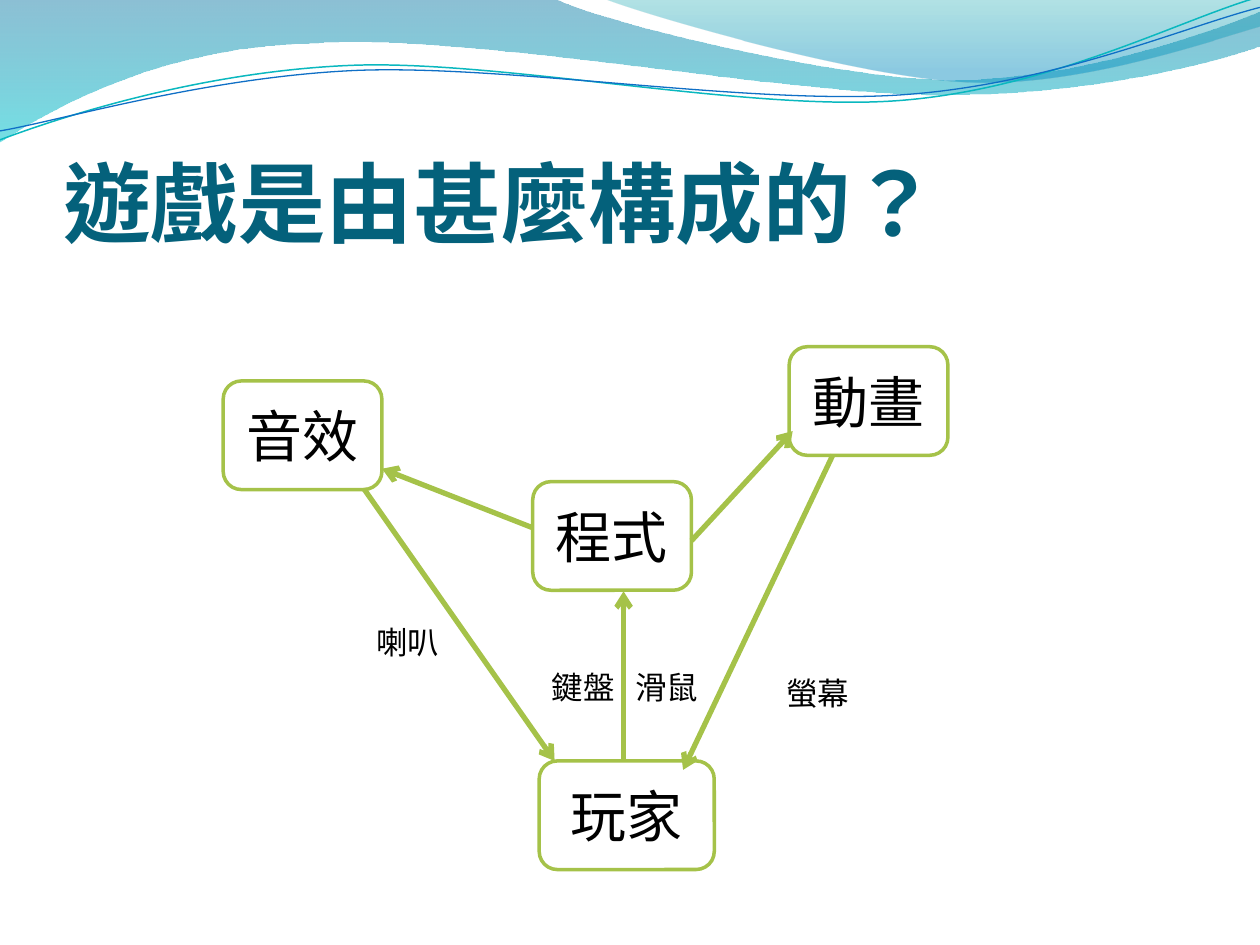
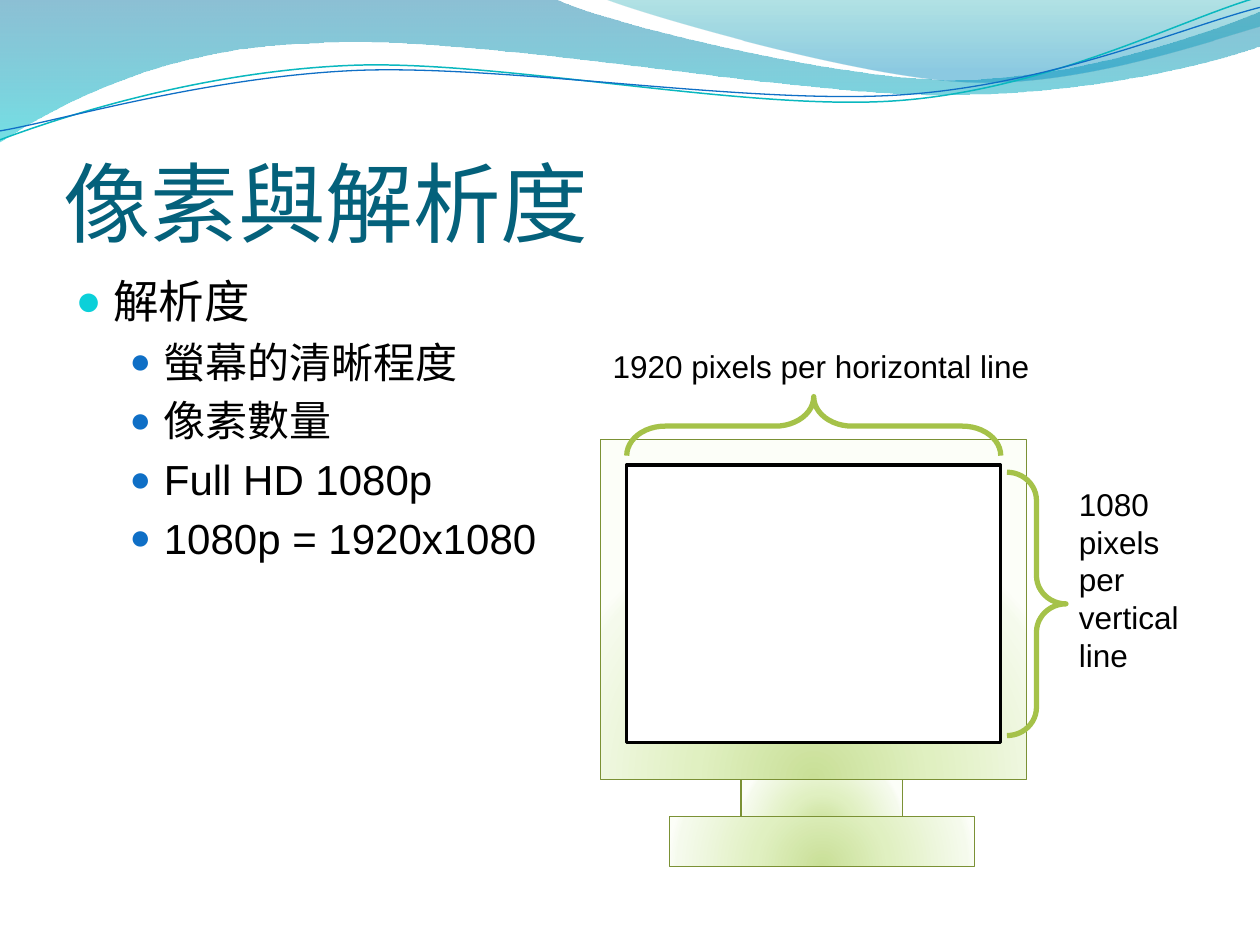
from lxml import etree
from pptx import Presentation
from pptx.dml.color import RGBColor
from pptx.enum.lang import MSO_LANGUAGE_ID
from pptx.enum.shapes import MSO_CONNECTOR, MSO_SHAPE
from pptx.enum.text import MSO_ANCHOR, MSO_AUTO_SIZE, PP_ALIGN
from pptx.oxml.ns import qn
from pptx.util import Cm, Pt

ROUNDED, RECTANGLE, BRACE = MSO_SHAPE.ROUNDED_RECTANGLE, MSO_SHAPE.RECTANGLE, MSO_SHAPE.RIGHT_BRACE
STRAIGHT = MSO_CONNECTOR.STRAIGHT
LEFT, CENTER = PP_ALIGN.LEFT, PP_ALIGN.CENTER
BOTTOM, MIDDLE = MSO_ANCHOR.BOTTOM, MSO_ANCHOR.MIDDLE
NO_AUTOFIT = MSO_AUTO_SIZE.NONE
TRADITIONAL_CHINESE = MSO_LANGUAGE_ID.TRADITIONAL_CHINESE

COLORS = {
    "title": "04617B", "text": "000000", "paper": "FFFFFF",
    "green": "A5C249", "casing": "7B9135",
    "cyan": "0BD0D9", "blue": "0F6FC6", "teal": "0AB8BF",
}
RGB = {name: RGBColor.from_string(value) for name, value in COLORS.items()}
CJK_FONT = "Noto Sans CJK SC"


def fill_gradient(shape, stops, direction, **settings):
    gradient = etree.Element(qn("a:gradFill"), rotWithShape="1")
    stop_list = etree.SubElement(gradient, qn("a:gsLst"))
    for position, color, opacity in stops:
        stop = etree.SubElement(stop_list, qn("a:gs"), pos=str(position * 1000))
        tint = etree.SubElement(stop, qn("a:srgbClr"), val=color)
        if opacity < 100:
            etree.SubElement(tint, qn("a:alpha"), val=str(opacity * 1000))
    course = etree.SubElement(gradient, qn(direction), **settings)
    if direction == "a:path":
        etree.SubElement(course, qn("a:fillToRect"), l="50000", t="130000", r="50000", b="-30000")
    shape.element.spPr.insert(2, gradient)


def add_label(slide, wording, left, top, width=1.9, height=1.02):
    label = slide.shapes.add_textbox(Cm(left), Cm(top), Cm(width), Cm(height))
    label.text_frame.word_wrap = True
    paragraph = label.text_frame.paragraphs[0]
    paragraph.text = wording
    paragraph.font.size = Pt(18)
    paragraph.font.name = "Arial"
    paragraph.font.color.rgb = RGB["text"]
    return paragraph


prs = Presentation()
prs.slide_width, prs.slide_height = Cm(25.4), Cm(19.05)
game_slide = prs.slides.add_slide(prs.slide_layouts[5])
pixel_slide = prs.slides.add_slide(prs.slide_layouts[1])

WAVES = [
    ((0, 0), [
        (11.18, -0.03),
        (12.09, 0.43, 16.87, 1.6, 19.25, 1.6),
        (21.67, 1.6, 24.33, 0.66, 25.4, 0.23),
        (25.43, 0.91),
        (24.97, 1.12, 22.1, 1.93, 18.95, 1.91),
        (15.8, 1.91, 9.7, 0.71, 6.53, 0.86),
        (3.28, 0.91, 1.17, 2.11, -0.03, 2.87),
    ], [(0, "0074A1", 45), (100, "00C6CF", 55)], None, 0),
    ((12.17, -0.03), [
        (12.93, 0.28, 17.32, 1.57, 19.53, 1.65),
        (21.74, 1.75, 24.41, 0.81, 25.4, 0.53),
        (25.4, 0),
    ], [(0, "00A1A9", 30), (80, "008BBF", 45)], None, 0),
    ((0, 2.82), [
        (1.22, 2.36, 4.01, 1.45, 7.04, 1.32),
        (10.03, 1.19, 15.06, 2.26, 18.11, 2.03),
        (21.16, 1.8, 23.83, 0.38, 25.35, -0.05),
    ], None, "teal", 0.85),
    ((0, 2.64), [
        (1.19, 2.44, 4.17, 1.55, 7.19, 1.42),
        (10.24, 1.3, 15.16, 2.13, 18.21, 1.91),
        (21.23, 1.7, 23.9, 0.53, 25.4, 0.15),
    ], None, "blue", 0.75),
]
master_tree = prs.slide_master.shapes.element
for order, (start, segments, stops, color, weight) in enumerate(WAVES):
    handles = [
        (Cm(x), Cm(y)) for segment in segments for x, y in zip(segment[::2], segment[1::2])
    ]
    builder = game_slide.shapes.build_freeform(Cm(start[0]), Cm(start[1]))
    builder.add_line_segments(handles, close=stops is not None)
    wave = builder.convert_to_shape()
    steps = iter(wave.element.xpath(".//a:lnTo"))
    for segment in segments:
        first = next(steps)
        if len(segment) == 6:
            curve = etree.Element(qn("a:cubicBezTo"))
            first.addprevious(curve)
            for step in (first, next(steps), next(steps)):
                curve.append(step[0])
                step.getparent().remove(step)
    wave.shadow.inherit = False
    if stops:
        fill_gradient(wave, stops, "a:lin", ang="5400000", scaled="0")
        wave.line.fill.background()
    else:
        wave.fill.background()
        wave.line.color.rgb = RGB[color]
        wave.line.width = Pt(weight)
    wave.element.xpath(".//p:cNvPr")[0].set("id", str(20 + order))
    master_tree.insert(2 + order, wave.element)

for slide, heading, font_name, bold in [
    (game_slide, "遊戲是由甚麼構成的？", "Calibri", True),
    (pixel_slide, "像素與解析度", CJK_FONT, False),
]:
    title = slide.shapes.title
    title.left, title.top, title.width, title.height = Cm(1.27), Cm(1.94), Cm(22.86), Cm(3.18)
    frame = title.text_frame
    frame.text = heading
    frame.auto_size = NO_AUTOFIT
    frame.vertical_anchor = BOTTOM
    frame.margin_left = frame.margin_right = frame.margin_bottom = 0
    paragraph = frame.paragraphs[0]
    paragraph.alignment = LEFT
    paragraph.font.name = font_name
    paragraph.font.size = Pt(50)
    paragraph.font.bold = bold
    paragraph.font.color.rgb = RGB["title"]
    paragraph.runs[0].font.language_id = TRADITIONAL_CHINESE

for part, left, top, width in [
    ("音效", 4.5, 7.68, 3.2),
    ("動畫", 15.91, 6.99, 3.2),
    ("玩家", 10.87, 15.34, 3.53),
    ("程式", 10.74, 9.71, 3.2),
]:
    node = game_slide.shapes.add_shape(ROUNDED, Cm(left), Cm(top), Cm(width), Cm(2.19))
    node.shadow.inherit = False
    node.fill.solid()
    node.fill.fore_color.rgb = RGB["paper"]
    node.line.color.rgb = RGB["green"]
    node.line.width = Pt(2)
    node.text_frame.vertical_anchor = MIDDLE
    paragraph = node.text_frame.paragraphs[0]
    paragraph.text = part
    paragraph.alignment = CENTER
    paragraph.font.name = CJK_FONT
    paragraph.font.size = Pt(32)
    paragraph.font.color.rgb = RGB["text"]

for ends in [
    (13.94, 10.9, 15.98, 8.69),
    (10.74, 10.64, 7.7, 9.45),
    (12.57, 15.32, 12.57, 11.92),
    (7.34, 9.86, 11.18, 15.34),
    (16.79, 9.17, 13.77, 15.52),
]:
    flow = game_slide.shapes.add_connector(STRAIGHT, *[Cm(value) for value in ends])
    flow.line.color.rgb = RGB["green"]
    flow.line.width = Pt(3)
    properties = flow.element.spPr
    etree.SubElement(properties.find(qn("a:ln")), qn("a:tailEnd"), type="arrow")
    etree.SubElement(properties, qn("a:effectLst"))

add_label(game_slide, "螢幕", 15.6, 13.46)
add_label(game_slide, "喇叭", 7.34, 12.43)
inputs = add_label(game_slide, "鍵盤\t滑鼠", 10.87, 13.34, 3.56)
tab_stops = etree.Element(qn("a:tabLst"))
etree.SubElement(tab_stops, qn("a:tab"), pos=str(Cm(1.69)), algn="l")
inputs._p.get_or_add_pPr().insert(0, tab_stops)

body = pixel_slide.placeholders[1]
body.left, body.top, body.width, body.height = Cm(1.27), Cm(5.38), Cm(22.86), Cm(12.19)
body.text_frame.auto_size = NO_AUTOFIT
points = ["解析度", "螢幕的清晰程度", "像素數量", "Full HD 1080p", "1080p = 1920x1080"]
body.text_frame.text = "\n".join(points)
LEVELS = [(26, 0.76, -0.76, "cyan", 95), (24, 1.78, -0.69, "blue", 85)]
for index, paragraph in enumerate(body.text_frame.paragraphs):
    paragraph.level = min(index, 1)
    size, margin, indent, bullet_color, bullet_size = LEVELS[paragraph.level]
    paragraph.font.name = "Arial"
    paragraph.font.size = Pt(size)
    paragraph.font.color.rgb = RGB["text"]
    properties = paragraph._p.get_or_add_pPr()
    properties.set("marL", str(Cm(margin)))
    properties.set("indent", str(Cm(indent)))
    bullet_fill = etree.Element(qn("a:buClr"))
    etree.SubElement(bullet_fill, qn("a:srgbClr"), val=COLORS[bullet_color])
    bullet_scale = etree.Element(qn("a:buSzPct"), val=str(bullet_size * 1000))
    bullet_sign = etree.Element(qn("a:buChar"), char="●")
    for position, element in enumerate([bullet_fill, bullet_scale, bullet_sign]):
        properties.insert(position, element)

CASING_STOPS = [(0, "C9DF97", 100), (43, "E0F0C1", 100), (93, "F5FAEC", 100), (100, "FCFEF8", 100)]
for box, is_screen in [
    ((12.11, 8.86, 8.59, 6.85), False),
    ((12.63, 9.38, 7.54, 5.59), True),
    ((14.94, 15.71, 3.25, 1.02), False),
    ((13.5, 16.46, 6.15, 1.01), False),
]:
    panel = pixel_slide.shapes.add_shape(RECTANGLE, *[Cm(value) for value in box])
    panel.shadow.inherit = False
    if is_screen:
        panel.fill.solid()
        panel.fill.fore_color.rgb = RGB["paper"]
    else:
        fill_gradient(panel, CASING_STOPS, "a:path", path="circle")
    panel.line.color.rgb = RGB["text" if is_screen else "casing"]
    panel.line.width = Pt(2 if is_screen else 0.75)

for box, curl, rotation in [
    ((20.3, 9.52, 1.19, 5.31), 0.48, 0),
    ((15.81, 4.82, 1.19, 7.54), 0.65, 270),
]:
    brace = pixel_slide.shapes.add_shape(BRACE, *[Cm(value) for value in box])
    brace.adjustments[0] = curl
    brace.rotation = rotation
    brace.shadow.inherit = False
    brace.fill.background()
    brace.line.color.rgb = RGB["green"]
    brace.line.width = Pt(3)

add_label(pixel_slide, "1920 pixels per horizontal line", 12.1, 6.87, 10.06)
add_label(pixel_slide, "1080 pixels per vertical line", 21.5, 9.65, 3, 4.11)

prs.save("out.pptx")
